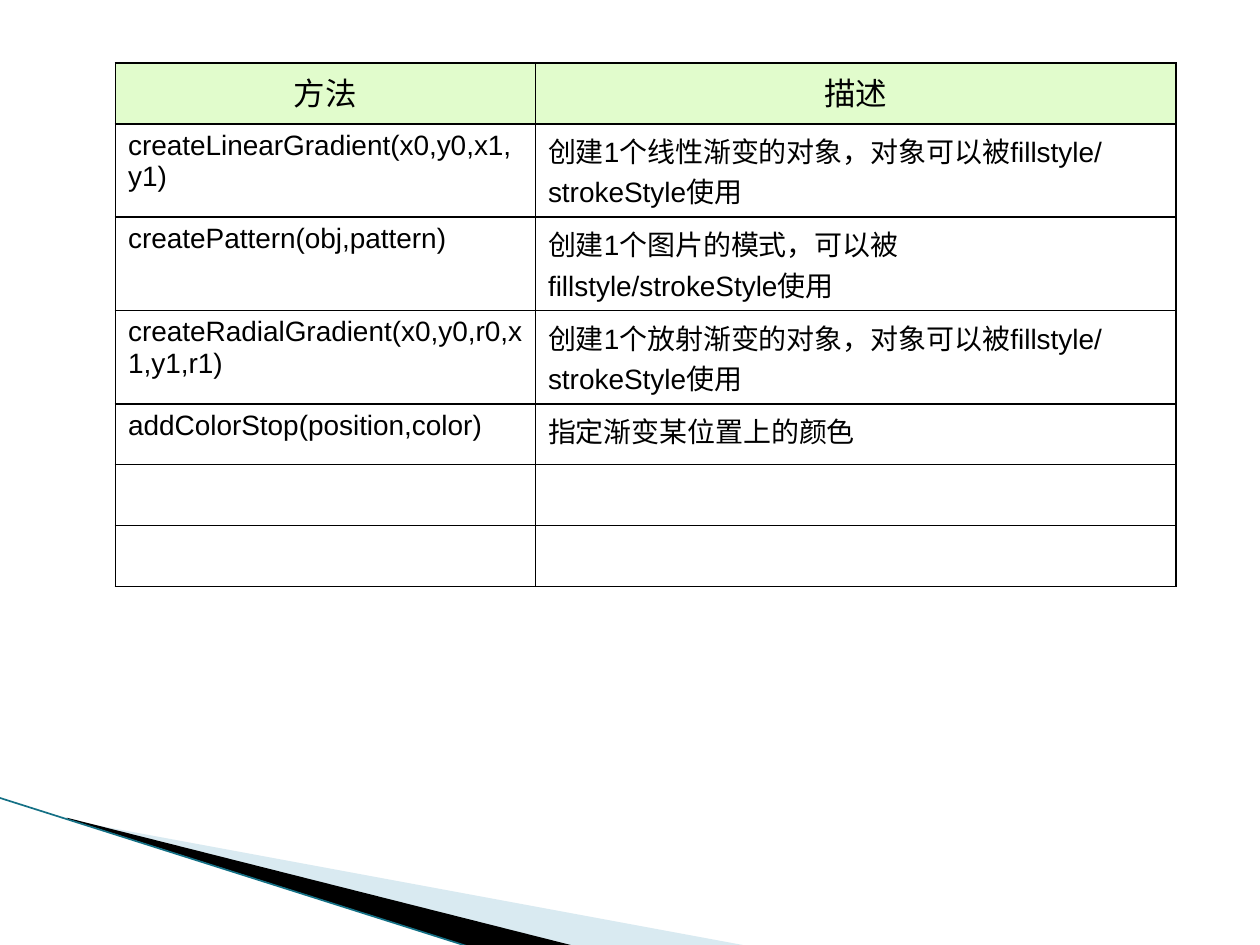
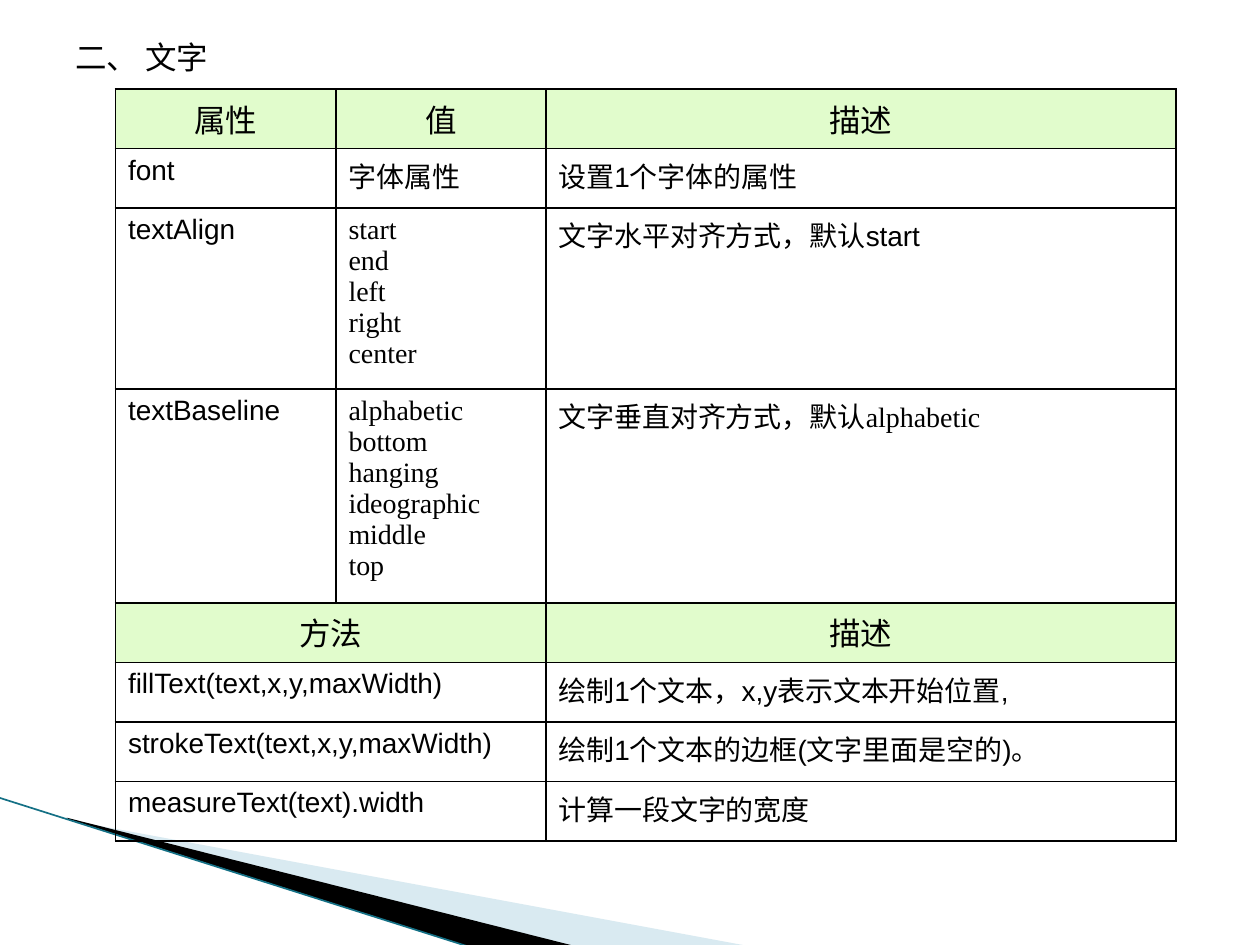
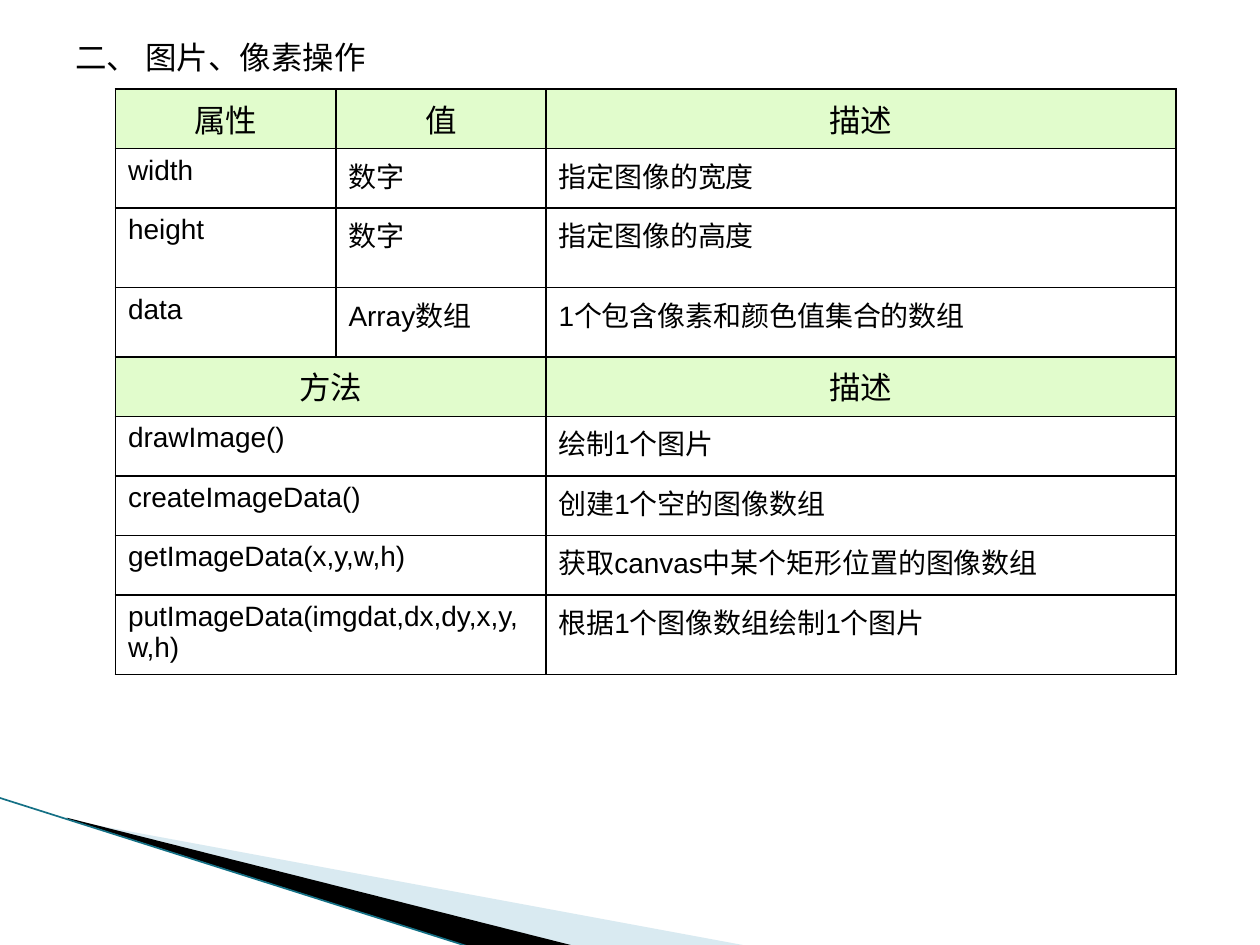
from dataclasses import dataclass

from lxml import etree
from pptx import Presentation
from pptx.dml.color import RGBColor
from pptx.enum.shapes import MSO_CONNECTOR
from pptx.enum.text import MSO_AUTO_SIZE, PP_ALIGN
from pptx.oxml.ns import qn
from pptx.util import Inches, Pt

STRAIGHT = MSO_CONNECTOR.STRAIGHT
CENTER = PP_ALIGN.CENTER
GROW = MSO_AUTO_SIZE.SHAPE_TO_FIT_TEXT

BLACK, HEADER_GREEN, PALE_BLUE, TEAL = "000000", "E1FCCC", "A0CBDC", "147085"
SANS, SERIF = "Arial", "Times New Roman"
HEADING_SIZE, BODY_SIZE = 18, 16
TABLE_LEFT = 11 / 12
TABLE_TOP = 17 / 24
ROW_HEIGHT = 17 / 36
METHOD_ROW_HEIGHT = 29 / 60
METHOD_COLUMNS = (10 / 3, 61 / 12)
PROPERTY_COLUMNS = (1.75, 5 / 3, 5)


@dataclass(frozen=True)
class Span:
    text: str
    font: str = SERIF


Paragraph = tuple[str | Span, ...]
Cell = str | Span | list[Paragraph]


@dataclass(frozen=True)
class Row:
    cells: tuple[Cell, ...]
    height: float = ROW_HEIGHT
    header: bool = False
    font: str = SANS


@dataclass(frozen=True)
class Wedge:
    """A filled outline in slide inches; frame is left, top, width, height."""
    frame: tuple[float, float, float, float]
    points: tuple[tuple[float, float], ...]
    color: str
    opacity: int = 100


@dataclass(frozen=True)
class Page:
    title: str
    table_top: float
    columns: tuple[float, ...]
    rows: tuple[Row, ...]


WEDGES = (
    Wedge((0.78, 5.47, 4.16, 1.58),
          ((0.55, 6.51), (5.95, 7.51), (4.56, 7.51), (0.55, 6.5)), PALE_BLUE, 40),
    Wedge((-0.06, 6.33, 4.16, 0.92),
          ((0.53, 6.49), (4.57, 7.51), (3.72, 7.51), (0.54, 6.5)), BLACK),
)
PROPERTY_HEADER = Row(("属性", "值", "描述"), header=True)

PAGES = (
    Page("", 0.5, METHOD_COLUMNS, (
        Row(("方法", "描述"), METHOD_ROW_HEIGHT, header=True),
        Row(("createLinearGradient(x0,y0,x1,y1)",
             "创建1个线性渐变的对象，对象可以被fillstyle/strokeStyle使用"),
            METHOD_ROW_HEIGHT),
        Row(("createPattern(obj,pattern)",
             [("创建1个图片的模式，可以被",), ("fillstyle/strokeStyle使用",)]),
            METHOD_ROW_HEIGHT),
        Row(("createRadialGradient(x0,y0,r0,x1,y1,r1)",
             "创建1个放射渐变的对象，对象可以被fillstyle/strokeStyle使用"),
            METHOD_ROW_HEIGHT),
        Row(("addColorStop(position,color)", "指定渐变某位置上的颜色"),
            METHOD_ROW_HEIGHT),
        Row(("", ""), METHOD_ROW_HEIGHT),
        Row(("", ""), METHOD_ROW_HEIGHT),
    )),
    Page("二、 文字", TABLE_TOP, PROPERTY_COLUMNS, (
        PROPERTY_HEADER,
        Row(("font", "字体属性", "设置1个字体的属性")),
        Row(("textAlign", Span("start\nend\nleft\nright\ncenter"),
             "文字水平对齐方式，默认start"), 1.43),
        Row(("textBaseline",
             Span("alphabetic\nbottom\nhanging\nideographic\nmiddle\ntop"),
             [("文字垂直对齐方式，默认", Span("alphabetic"))]), 1.7),
        Row(("方法", "描述"), header=True),
        Row(("fillText(text,x,y,maxWidth)", "绘制1个文本，x,y表示文本开始位置,")),
        Row(("strokeText(text,x,y,maxWidth)", "绘制1个文本的边框(文字里面是空的)。")),
        Row(("measureText(text).width", "计算一段文字的宽度")),
    )),
    Page("二、 图片、像素操作", TABLE_TOP, PROPERTY_COLUMNS, (
        PROPERTY_HEADER,
        Row(("width", "数字", "指定图像的宽度")),
        Row(("height", "数字", "指定图像的高度"), 0.63),
        Row(("data", "Array数组", "1个包含像素和颜色值集合的数组"), 0.55),
        Row(("方法", "描述"), header=True, font=SERIF),
        Row(("drawImage()", "绘制1个图片")),
        Row(("createImageData()", "创建1个空的图像数组")),
        Row(("getImageData(x,y,w,h)", "获取canvas中某个矩形位置的图像数组")),
        Row(("putImageData(imgdat,dx,dy,x,y,w,h)", "根据1个图像数组绘制1个图片")),
    )),
)


def rgb(color: str) -> RGBColor:
    return RGBColor.from_string(color)


def write_span(paragraph, span: Span, size: int) -> None:
    """Add the span's text, turning each newline into a line break."""
    for index, line in enumerate(span.text.split("\n")):
        if index:
            paragraph.add_line_break()
        run = paragraph.add_run()
        run.text = line
        for attribute, value in {"name": span.font, "size": Pt(size)}.items():
            setattr(run.font, attribute, value)
        run.font.color.rgb = rgb(BLACK)


def write_cell(cell, content: Cell, row: Row) -> None:
    paragraphs = content if isinstance(content, list) else [(content,)]
    frame = cell.text_frame
    for index, spans in enumerate(paragraphs):
        paragraph = frame.add_paragraph() if index else frame.paragraphs[0]
        if row.header:
            paragraph.alignment = CENTER
        for span in spans:
            if not span:
                continue
            if isinstance(span, str):
                span = Span(span, row.font)
            write_span(paragraph, span, HEADING_SIZE if row.header else BODY_SIZE)


def style_cell(cell, header: bool) -> None:
    properties = cell._tc.get_or_add_tcPr()
    for side in ("lnL", "lnR", "lnT", "lnB"):
        border = etree.SubElement(properties, qn(f"a:{side}"), w=str(Pt(1)))
        fill = etree.SubElement(border, qn("a:solidFill"))
        etree.SubElement(fill, qn("a:srgbClr"), val=BLACK)
    if header:
        cell.fill.solid()
        cell.fill.fore_color.rgb = rgb(HEADER_GREEN)
    else:
        cell.fill.background()


def add_reference_table(slide, page: Page) -> None:
    """Draw the table; a row with a cell too few joins its first two columns."""
    rows, columns = page.rows, page.columns
    table = slide.shapes.add_table(
        len(rows), len(columns), Inches(TABLE_LEFT), Inches(page.table_top),
        Inches(sum(columns)), Inches(sum(row.height for row in rows))).table
    table.first_row = table.horz_banding = False
    for column, width in zip(table.columns, columns):
        column.width = Inches(width)
    for row_index, row in enumerate(rows):
        table.rows[row_index].height = Inches(row.height)
        cells = [table.cell(row_index, index) for index in range(len(columns))]
        for cell in cells:
            style_cell(cell, row.header)
        if len(row.cells) < len(cells):
            cells[0].merge(cells[1])
            del cells[1]
        for cell, content in zip(cells, row.cells):
            write_cell(cell, content, row)


def set_frame(shape, frame: tuple[float, float, float, float]) -> None:
    """Give a freeform a frame of its own while its outline stays in place."""
    left, top, width, height = map(Inches, frame)
    shift_x, shift_y = shape.left - left, shape.top - top
    outline = shape._element.spPr.find(f".//{qn('a:path')}")
    outline.set("w", str(width))
    outline.set("h", str(height))
    for point in outline.iter(qn("a:pt")):
        point.set("x", str(int(point.get("x")) + shift_x))
        point.set("y", str(int(point.get("y")) + shift_y))
    placement = {"left": left, "top": top, "width": width, "height": height}
    for attribute, value in placement.items():
        setattr(shape, attribute, value)


def add_wedge(slide, wedge: Wedge) -> None:
    start, *others = [(Inches(x), Inches(y)) for x, y in wedge.points]
    builder = slide.shapes.build_freeform(*start)
    builder.add_line_segments(others, close=True)
    shape = builder.convert_to_shape()
    set_frame(shape, wedge.frame)
    shape.shadow.inherit = False
    shape.line.fill.background()
    shape.fill.solid()
    shape.fill.fore_color.rgb = rgb(wedge.color)
    if wedge.opacity < 100:
        color = shape._element.spPr.find(f".//{qn('a:srgbClr')}")
        etree.SubElement(color, qn("a:alpha"), val=str(wedge.opacity * 1000))


def add_corner_decoration(slide) -> None:
    for wedge in WEDGES:
        add_wedge(slide, wedge)
    edge = slide.shapes.add_connector(
        STRAIGHT, Inches(-0.01), Inches(6.33), Inches(3.71), Inches(7.51))
    edge.line.color.rgb = rgb(TEAL)
    edge.line.width = Pt(0.95)
    etree.SubElement(edge._element.spPr, qn("a:effectLst"))


def add_title(slide, title: str) -> None:
    box = slide.shapes.add_textbox(Inches(0.5), Inches(0.25), Inches(5.42), Inches(0.4))
    frame = box.text_frame
    for attribute, value in {"word_wrap": True, "auto_size": GROW}.items():
        setattr(frame, attribute, value)
    write_span(frame.paragraphs[0], Span(title, SANS), HEADING_SIZE)


def main() -> None:
    deck = Presentation()
    deck.slide_width, deck.slide_height = Inches(10), Inches(7.5)
    for page in PAGES:
        slide = deck.slides.add_slide(deck.slide_layouts[6])
        add_corner_decoration(slide)
        if page.title:
            add_title(slide, page.title)
        add_reference_table(slide, page)
    deck.save("out.pptx")


if __name__ == "__main__":
    main()
